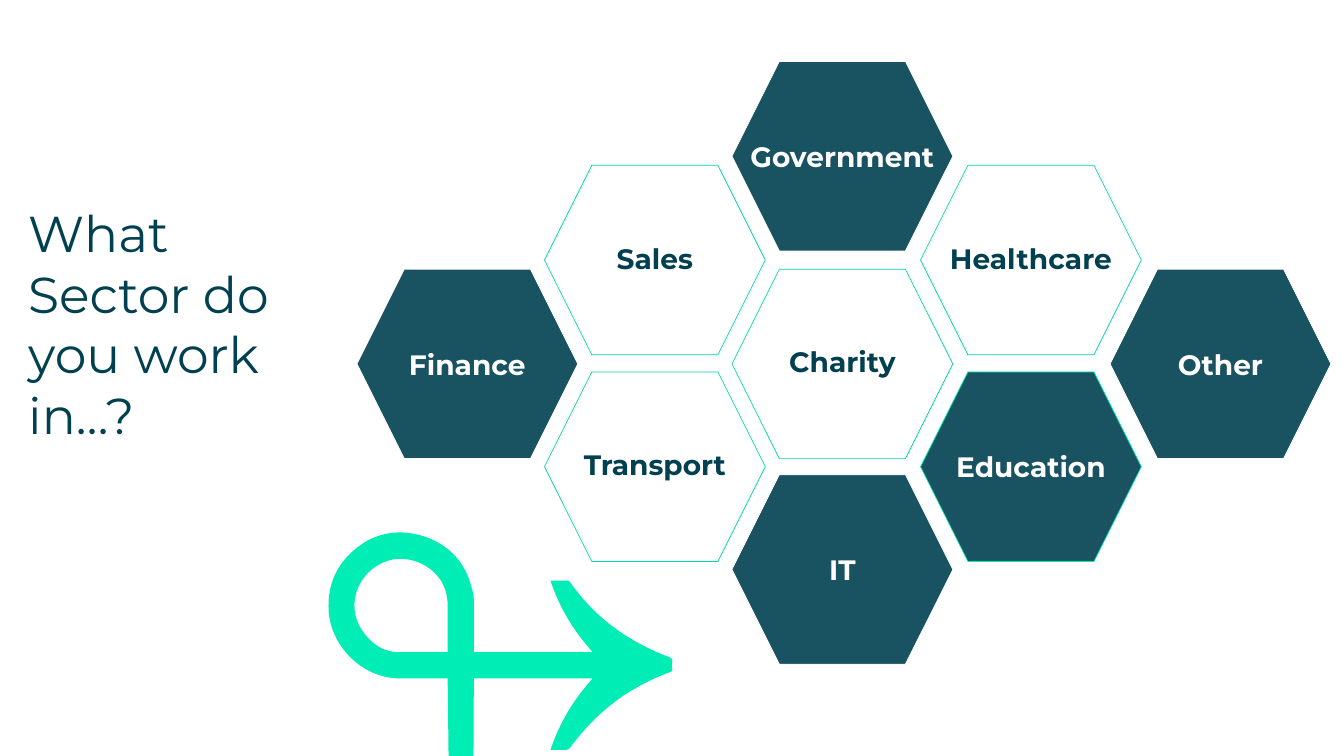
from lxml import etree
from pptx import Presentation
from pptx.dml.color import RGBColor
from pptx.enum.shapes import MSO_SHAPE
from pptx.enum.text import MSO_ANCHOR, PP_ALIGN
from pptx.oxml.ns import qn
from pptx.util import Inches, Pt

NAVY = RGBColor(0x00, 0x40, 0x50)
WHITE = RGBColor(0xFF, 0xFF, 0xFF)
GREEN = RGBColor(0x00, 0xD7, 0xA4)
MINT = RGBColor(0x00, 0xED, 0xB5)

QUESTION = "What Sector do you work in…?"

DARK = {"fill": NAVY, "edge": WHITE, "ink": WHITE, "alpha": 90, "spacing": 1.0}
DARK_EDGED = {**DARK, "edge": MINT}
LIGHT = {"fill": WHITE, "edge": GREEN, "ink": NAVY, "alpha": 100, "spacing": 0.9}

SECTORS = [
    ("Transport", 1, 3, LIGHT),
    ("Finance", 0, 2, DARK),
    ("Charity", 2, 2, LIGHT),
    ("Education", 3, 3, DARK_EDGED),
    ("Sales", 1, 1, LIGHT),
    ("Government", 2, 0, DARK),
    ("Healthcare", 3, 1, LIGHT),
    ("Other", 4, 2, DARK),
    ("IT", 2, 4, DARK),
]
COLUMN_LEFTS = [3.54, 5.4, 7.26, 9.13, 11.01]
ROW_TOPS = [0.61, 1.64, 2.67, 3.69, 4.71]
HEX_WIDTH, HEX_HEIGHT, HEX_INSET = 2.19, 1.88, 0.47

ARROW_OUTLINE = [
    [(3.65, 5.36)],
    [(3.38, 5.52), (3.24, 5.75), (3.26, 6.07)],
    [(3.29, 6.43), (3.61, 6.73), (3.96, 6.73)],
    [(4.44, 6.73)],
    [(4.45, 7.54), (4.46, 8.35), (4.46, 9.16)],
    [(4.69, 8.75)],
    [(4.7, 6.73)],
    [(5.88, 6.73)],
    [(5.69, 6.94), (5.55, 7.17), (5.46, 7.44)],
    [(5.61, 7.44)],
    [(5.63, 7.44), (5.65, 7.43), (5.66, 7.41)],
    [(5.8, 7.22), (5.97, 7.05), (6.17, 6.91)],
    [(6.32, 6.81), (6.48, 6.73), (6.64, 6.67)],
    [(6.66, 6.67), (6.67, 6.65), (6.67, 6.64)],
    [(6.66, 6.61), (6.66, 6.59), (6.67, 6.56)],
    [(6.67, 6.54), (6.66, 6.53), (6.64, 6.52)],
    [(6.24, 6.37), (5.9, 6.13), (5.65, 5.77)],
    [(5.65, 5.77), (5.64, 5.76), (5.64, 5.76)],
    [(5.46, 5.76)],
    [(5.55, 6.03), (5.69, 6.26), (5.88, 6.47)],
    [(4.7, 6.47)],
    [(4.7, 6.44)],
    [(4.7, 6.29), (4.7, 6.14), (4.7, 5.99)],
    [(4.7, 5.94), (4.7, 5.89), (4.68, 5.84)],
    [(4.62, 5.58), (4.45, 5.4), (4.2, 5.32)],
    [(4.01, 5.26), (3.83, 5.27), (3.65, 5.36)],
]
ARROW_LOOP = [
    [(4.38, 5.77)],
    [(4.42, 5.84), (4.44, 5.92), (4.44, 6.01)],
    [(4.44, 6.44)],
    [(4.44, 6.47)],
    [(4.44, 6.47), (4.43, 6.47), (4.43, 6.47)],
    [(3.96, 6.47)],
    [(3.81, 6.47), (3.7, 6.4), (3.61, 6.28)],
    [(3.39, 5.99), (3.58, 5.61), (3.9, 5.55)],
    [(4.09, 5.52), (4.28, 5.61), (4.38, 5.77)],
]


def write(shape, text, size, color, bold=False, align=PP_ALIGN.LEFT,
          anchor=MSO_ANCHOR.TOP, wrap=True, spacing=1.0):
    frame = shape.text_frame
    frame.margin_left = frame.margin_right = frame.margin_top = frame.margin_bottom = 0
    frame.word_wrap = wrap
    frame.vertical_anchor = anchor
    paragraph = frame.paragraphs[0]
    paragraph.alignment = align
    paragraph.line_spacing = spacing
    run = paragraph.add_run()
    run.text = text
    run.font.name = "Montserrat"
    run.font.size = Pt(size)
    run.font.bold = bold
    run.font.color.rgb = color


def build_outline(slide, *contours):
    builder = None
    for contour in contours:
        start, *ends = [(Inches(x), Inches(y)) for x, y in contour]
        if builder is None:
            builder = slide.shapes.build_freeform(*start)
        else:
            builder.move_to(*start)
        builder.add_line_segments(ends, close=True)
    outline = builder.convert_to_shape()
    outline.shadow.inherit = False
    outline.fill.solid()
    return outline


def add_arrow(slide):
    contours = (ARROW_OUTLINE, ARROW_LOOP)
    arrow = build_outline(slide, *([step[-1] for step in contour] for contour in contours))
    arrow.fill.fore_color.rgb = MINT
    arrow.line.fill.background()
    route = next(arrow._element.iter(qn("a:path")))
    segments = [segment for segment in route if segment.tag != qn("a:close")]
    for segment, step in zip(segments, ARROW_OUTLINE + ARROW_LOOP):
        if len(step) == 3:
            curve = etree.Element(qn("a:cubicBezTo"))
            for x, y in step:
                etree.SubElement(curve, qn("a:pt"), x=str(Inches(x) - arrow.left),
                                 y=str(Inches(y) - arrow.top))
            route.replace(segment, curve)


def add_sector(slide, sector, column, row, style):
    left, top = COLUMN_LEFTS[column], ROW_TOPS[row]
    if style is LIGHT:
        right, bottom, middle = left + HEX_WIDTH, top + HEX_HEIGHT, top + HEX_HEIGHT / 2
        inner_left, inner_right = left + HEX_INSET, right - HEX_INSET
        hexagon = build_outline(slide, [
            (left, middle), (inner_left, top), (inner_right, top),
            (right, middle), (inner_right, bottom), (inner_left, bottom), (left, middle)])
    else:
        hexagon = slide.shapes.add_shape(MSO_SHAPE.HEXAGON, Inches(left), Inches(top),
                                         Inches(HEX_WIDTH), Inches(HEX_HEIGHT))
        hexagon.adjustments[0] = 0.25
        hexagon.shadow.inherit = False
        hexagon.fill.solid()
    hexagon.fill.fore_color.rgb = style["fill"]
    if style["alpha"] < 100:
        color = hexagon._element.spPr.find(qn("a:solidFill"))[0]
        etree.SubElement(color, qn("a:alpha"), val=str(style["alpha"] * 1000))
    hexagon.line.color.rgb = style["edge"]
    hexagon.line.width = Pt(0.5)
    write(hexagon, sector, 20, style["ink"], bold=True, align=PP_ALIGN.CENTER,
          anchor=MSO_ANCHOR.MIDDLE, wrap=False, spacing=style["spacing"])


def main():
    deck = Presentation()
    deck.slide_width, deck.slide_height = Inches(13.33), Inches(7.5)
    slide = deck.slides.add_slide(deck.slide_layouts[6])
    add_arrow(slide)
    question = slide.shapes.add_textbox(Inches(0.28), Inches(2.01), Inches(2.79), Inches(1.15))
    write(question, QUESTION, 36, NAVY)
    for sector in SECTORS:
        add_sector(slide, *sector)
    deck.save("out.pptx")


if __name__ == "__main__":
    main()
